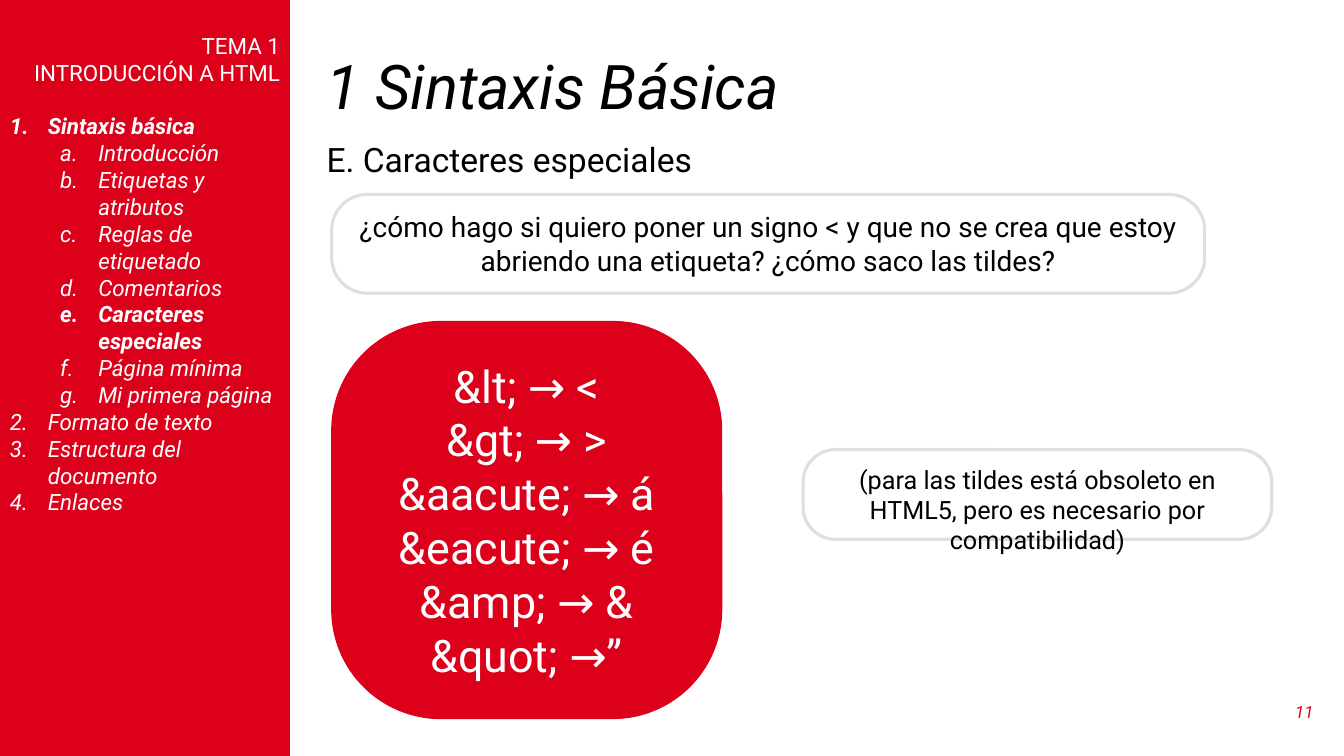
from lxml.etree import SubElement
from pptx import Presentation
from pptx.dml.color import RGBColor
from pptx.enum.shapes import MSO_SHAPE
from pptx.enum.text import MSO_ANCHOR, PP_ALIGN
from pptx.oxml.ns import qn
from pptx.util import Cm, Pt

RED, WHITE, BLACK, GREY = "DC001B", "FFFFFF", "000000", "DAE0E4"
FONT = "Roboto"
HEADER = ["TEMA 1", "INTRODUCCIÓN A HTML"]
OUTLINE = [
    (0, "Sintaxis básica"),
    (1, "Introducción"),
    (1, "Etiquetas y atributos"),
    (1, "Reglas de etiquetado"),
    (1, "Comentarios"),
    (1, "Caracteres especiales"),
    (1, "Página mínima"),
    (1, "Mi primera página"),
    (0, "Formato de texto"),
    (0, "Estructura del documento"),
    (0, "Enlaces"),
]
CURRENT = {"Sintaxis básica", "Caracteres especiales"}
ENTITIES = ["&lt; → <", "&gt; → >", "&aacute; → á", "&eacute; → é",
            "&amp; → &", "&quot; →”"]
QUESTION = ("¿cómo hago si quiero poner un signo < y que no se crea que estoy "
            "abriendo una etiqueta? ¿cómo saco las tildes?")
REMARK = ("(para las tildes está obsoleto en HTML5, pero es necesario por "
          "compatibilidad)")


def color(hex_code):
    """Turn a hex string into a colour."""
    return RGBColor.from_string(hex_code)


def add_line(frame, text, size, ink, align=PP_ALIGN.LEFT, bold=False, italic=False):
    """Append one paragraph with a single run and return the paragraph."""
    first = frame.paragraphs[0]
    line = frame.add_paragraph() if first.runs else first
    line.alignment = align
    run = line.add_run()
    run.text = text
    font = run.font
    font.name, font.size, font.bold, font.italic = FONT, Pt(size), bold, italic
    font.color.rgb = color(ink)
    return line


def number_line(line, level):
    """Give a paragraph automatic numbering with a hanging indent."""
    line.level = level
    properties = line._p.get_or_add_pPr()
    properties.set("marL", str(Cm(0.96 + 1.27 * level)))
    properties.set("indent", str(Cm(-0.96)))
    SubElement(properties, qn("a:buFont"), typeface=FONT)
    SubElement(properties, qn("a:buAutoNum"),
               type=("arabicPeriod", "alphaLcPeriod")[level])


def add_label(slide, box, text, size, ink, align=PP_ALIGN.LEFT,
              anchor=MSO_ANCHOR.TOP, italic=False):
    """Add a one-line text box and return its paragraph."""
    frame = slide.shapes.add_textbox(*map(Cm, box)).text_frame
    frame.word_wrap = True
    frame.vertical_anchor = anchor
    return add_line(frame, text, size, ink, align, italic=italic)


def add_panel(slide, kind, box, fill=None, border=None, width=0):
    """Add a flat shape and return it with its text at the top."""
    panel = slide.shapes.add_shape(kind, *map(Cm, box))
    panel.shadow.inherit = False
    if fill:
        panel.fill.solid()
        panel.fill.fore_color.rgb = color(fill)
    else:
        panel.fill.background()
    if border:
        panel.line.color.rgb = color(border)
        panel.line.width = Pt(width)
    else:
        panel.line.fill.background()
    panel.text_frame.word_wrap = True
    panel.text_frame.vertical_anchor = MSO_ANCHOR.TOP
    return panel


def add_bubble(slide, box, rounding, lines, size, ink, border, width, fill=None):
    """Add a rounded box with centred lines."""
    bubble = add_panel(slide, MSO_SHAPE.ROUNDED_RECTANGLE, box, fill, border, width)
    bubble.adjustments[0] = rounding
    for text in lines:
        add_line(bubble.text_frame, text, size, ink, PP_ALIGN.CENTER)


def add_sidebar(slide, height):
    """Add the red side panel with the unit heading and the outline."""
    frame = add_panel(slide, MSO_SHAPE.RECTANGLE, (0, 0, 7.31, height), RED).text_frame
    frame.margin_top = Cm(0.81)
    for text in HEADER:
        heading = add_line(frame, text, 16, WHITE, PP_ALIGN.RIGHT)
    heading.space_after = Pt(19)
    for level, text in OUTLINE:
        entry = add_line(frame, text, 16, WHITE, bold=text in CURRENT, italic=True)
        number_line(entry, level)


def main():
    """Build the slide and save it."""
    deck = Presentation()
    deck.slide_width, deck.slide_height = Cm(33.87), Cm(19.05)
    slide = deck.slides.add_slide(deck.slide_layouts[6])

    title = add_label(slide, (7.98, 1.27, 25.37, 1.98), "1 Sintaxis Básica", 44,
                      BLACK, anchor=MSO_ANCHOR.MIDDLE, italic=True)
    title.line_spacing = 0.9
    add_sidebar(slide, 19.05)
    add_label(slide, (32.05, 17.42, 1.3, 1.02), "11", 12, RED, PP_ALIGN.RIGHT,
              MSO_ANCHOR.MIDDLE, italic=True)
    add_label(slide, (7.98, 3.38, 18.95, 1.27), "E. Caracteres especiales", 24, BLACK)

    add_bubble(slide, (8.36, 4.9, 22, 2.49), 0.36, [QUESTION], 20, BLACK, GREY, 2.25)
    add_bubble(slide, (8.36, 8.1, 9.83, 10.01), 0.28, ENTITIES, 32, WHITE, RED, 0.75, RED)
    add_bubble(slide, (20.24, 11.33, 11.81, 2.26), 0.36, [REMARK], 18, BLACK, GREY, 2.25)
    deck.save("out.pptx")


if __name__ == "__main__":
    main()
